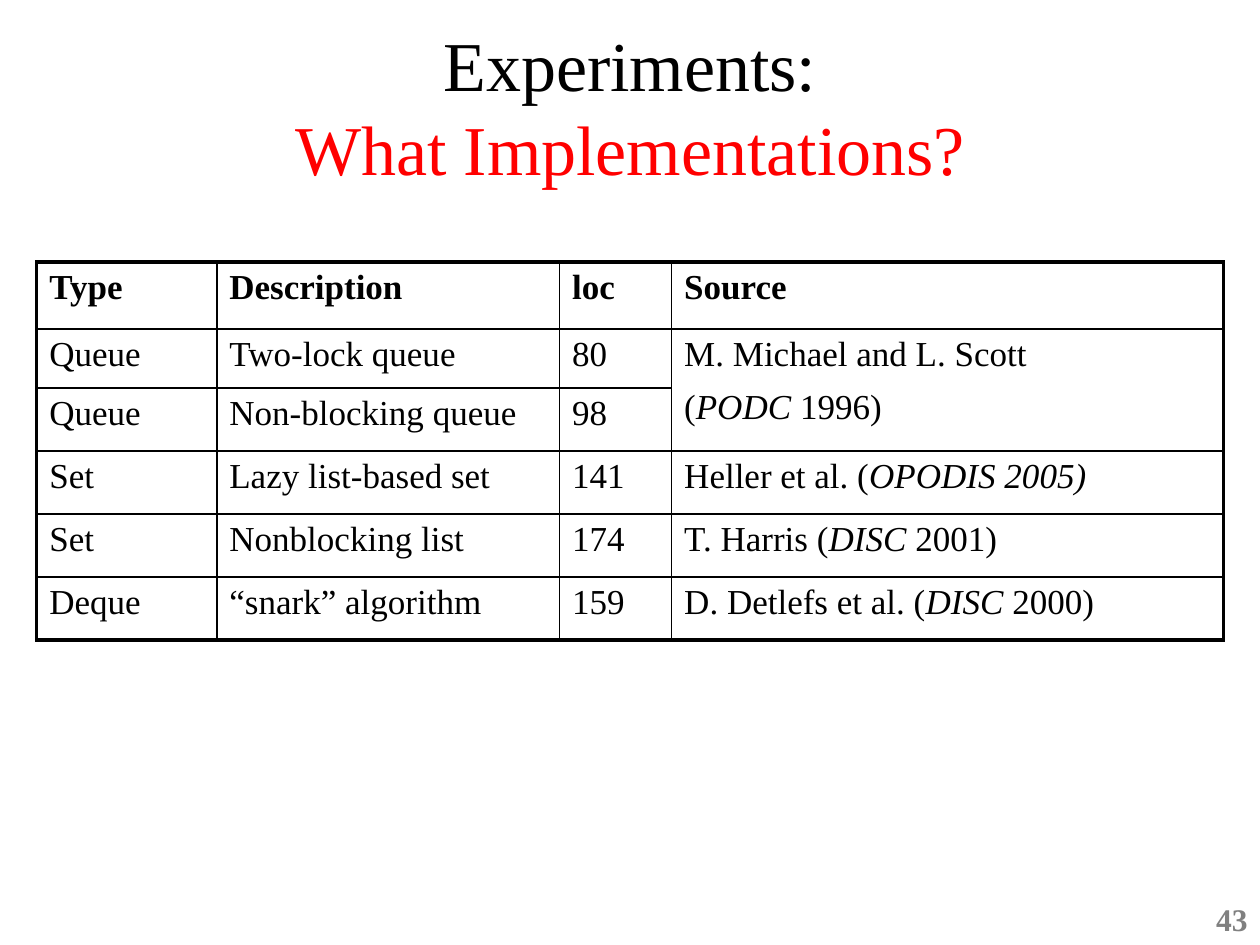
from dataclasses import dataclass

from lxml.etree import SubElement
from pptx import Presentation
from pptx.dml.color import RGBColor as RGB
from pptx.enum.text import MSO_ANCHOR as ANCHOR, MSO_AUTO_SIZE as FIT, PP_ALIGN as ALIGN
from pptx.oxml.ns import qn
from pptx.util import Cm, Pt


@dataclass(frozen=True)
class Theme:
    """Colours, font and sizes of the slide."""
    font: str = "Times New Roman"
    ink: str = "000000"
    accent: str = "FF0000"
    muted: str = "808080"
    title: int = 40
    body: int = 20
    number: int = 18
    para_gap: int = 8
    thin: float = 1
    thick: float = 2.25


class Deck:
    """Holds the theme and the current slide."""

    def __init__(self, prs, theme):
        """Start a title-only slide."""
        self.theme = theme
        self.s = prs.slides.add_slide(prs.slide_layouts[5])

    def add_text(self, p, text, size, color, bold=False, italic=False):
        """Append one formatted run to a paragraph."""
        r = p.add_run()
        r.text = text
        f = r.font
        f.name, f.size, f.bold, f.italic = self.theme.font, Pt(size), bold, italic
        f.color.rgb = RGB.from_string(color)

    def frame(self, sp, anchor, insets=(0, 0)):
        """Set wrapping, anchor and (horizontal, vertical) insets."""
        tf = sp.text_frame
        tf.word_wrap, tf.auto_size, tf.vertical_anchor = True, FIT.NONE, anchor
        tf.margin_left = tf.margin_right = Cm(insets[0])
        tf.margin_top = tf.margin_bottom = Cm(insets[1])
        return tf.paragraphs[0]

    def title(self, box, first, second):
        """Fill the title with a plain line and an accented line."""
        th, sp = self.theme, self.s.shapes.title
        sp.left, sp.top, sp.width, sp.height = map(Cm, box)
        p = self.frame(sp, ANCHOR.MIDDLE)
        p.alignment = ALIGN.CENTER
        p.line_spacing, p.space_before = 1.0, Pt(0)
        self.add_text(p, first, th.title, th.ink)
        p.add_line_break()
        self.add_text(p, second, th.title, th.accent)

    def number(self, box, text):
        """Add the slide number."""
        th = self.theme
        sp = self.s.shapes.add_textbox(*map(Cm, box))
        p = self.frame(sp, ANCHOR.BOTTOM, (0.25, 0.13))
        p.alignment, p.line_spacing = ALIGN.RIGHT, 0.93
        self.add_text(p, text, th.number, th.muted, bold=True)

    def borders(self, cell, widths):
        """Draw the left, right, top and bottom borders of a cell."""
        tc_pr = cell._tc.get_or_add_tcPr()
        for i, (side, width) in enumerate(zip("LRTB", widths)):
            ln = SubElement(tc_pr, qn(f"a:ln{side}"), w=str(Pt(width)))
            fill = SubElement(ln, qn("a:solidFill"))
            SubElement(fill, qn("a:srgbClr"), val=self.theme.ink)
            tc_pr.insert(i, ln)

    def cell_text(self, cell, text, bold):
        """Fill a cell: newlines split paragraphs, asterisks enclose italics."""
        th, tf = self.theme, cell.text_frame
        for i, line in enumerate(text.split("\n")):
            p = tf.add_paragraph() if i else tf.paragraphs[0]
            p.space_before = Pt(th.para_gap)
            for j, part in enumerate(line.split("*")):
                if part:
                    self.add_text(p, part, th.body, th.ink, bold, italic=j % 2 == 1)

    def table(self, left, top, cols, heights, rows, merges):
        """Add a ruled table with a thick outer frame."""
        th, n, m = self.theme, len(rows), len(cols)
        tbl = self.s.shapes.add_table(n, m, Cm(left), Cm(top),
                                      Cm(sum(cols)), Cm(sum(heights))).table
        tbl.first_row = tbl.horz_banding = False
        for col, width in zip(tbl.columns, cols):
            col.width = Cm(width)
        for row, height in zip(tbl.rows, heights):
            row.height = Cm(height)
        for (r1, c1), (r2, c2) in merges:
            tbl.cell(r1, c1).merge(tbl.cell(r2, c2))
        for r, texts in enumerate(rows):
            for c, text in enumerate(texts):
                cell = tbl.cell(r, c)
                cell.fill.background()
                outer = (c == 0, c == m - 1, r == 0, r == n - 1)
                self.borders(cell, [th.thick if o else th.thin for o in outer])
                if text:
                    self.cell_text(cell, text, bold=r == 0)


IMPLEMENTATIONS = [
    ("Type", "Description", "loc", "Source"),
    ("Queue", "Two-lock queue", "80", "M. Michael and L. Scott\n(*PODC* 1996)"),
    ("Queue", "Non-blocking queue", "98", ""),
    ("Set", "Lazy list-based set", "141", "Heller et al. (*OPODIS 2005)*"),
    ("Set", "Nonblocking list", "174", "T. Harris (*DISC *2001)"),
    ("Deque", "“snark” algorithm", "159", "D. Detlefs et al. (*DISC* 2000)"),
]


def main():
    """Build and save the slide."""
    prs = Presentation()
    prs.slide_width, prs.slide_height = Cm(25.4), Cm(19.05)
    deck = Deck(prs, Theme())
    deck.number((20.12, 18.08, 5.28, 0.97), "43")
    deck.table(0.74, 5.28, [3.63, 6.91, 2.26, 11.13], [1.35, 1.19] + [1.27] * 4,
               IMPLEMENTATIONS, merges=[((1, 3), (2, 3))])
    deck.title((1.9, 1.17, 21.6, 1.9), "Experiments:", "What Implementations?")
    prs.save("out.pptx")


main()
